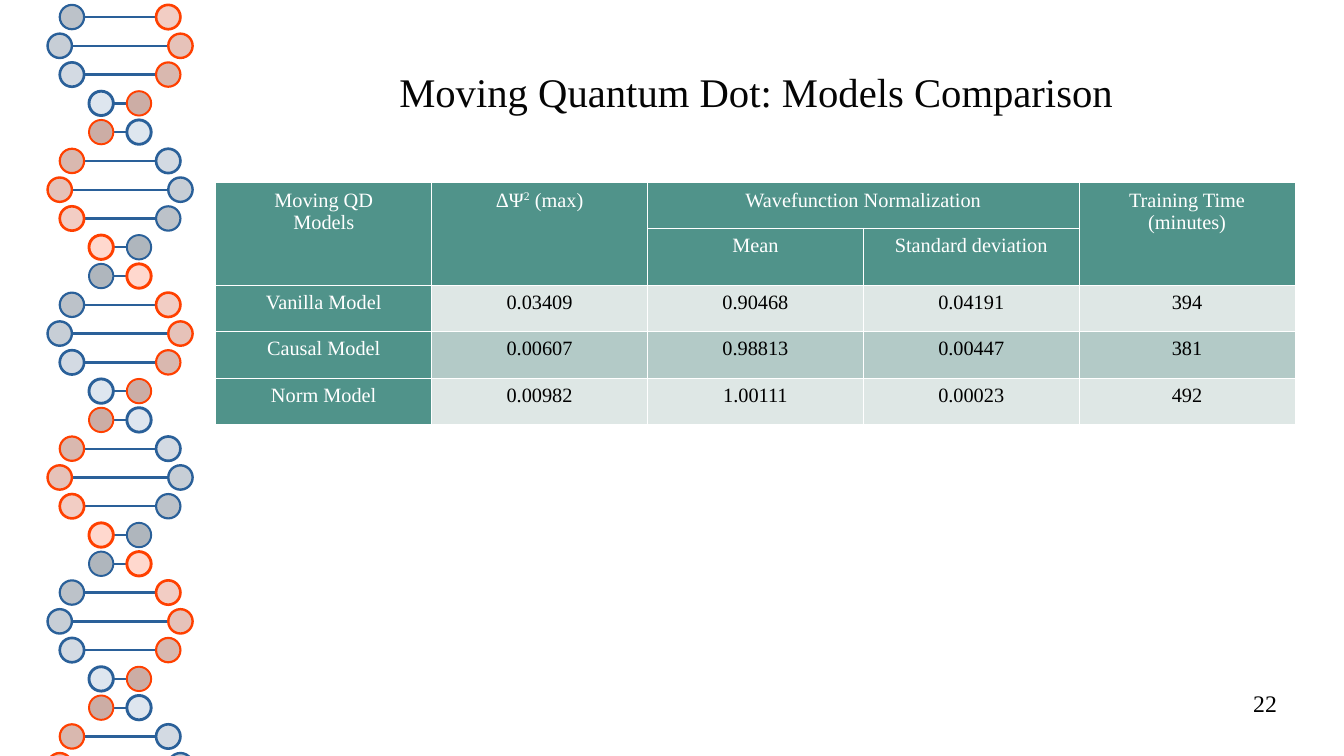
"""Builds the model comparison slide with its double-helix border."""
from dataclasses import dataclass

from lxml import etree
from pptx import Presentation
from pptx.dml.color import RGBColor
from pptx.enum.shapes import MSO_CONNECTOR, MSO_SHAPE
from pptx.enum.text import MSO_ANCHOR, MSO_AUTO_SIZE, PP_ALIGN
from pptx.oxml.ns import qn
from pptx.slide import Slide
from pptx.table import _Cell
from pptx.text.text import TextFrame, _Paragraph
from pptx.util import Inches, Pt

STRAIGHT = MSO_CONNECTOR.STRAIGHT
OVAL = MSO_SHAPE.OVAL
CENTER, RIGHT = PP_ALIGN.CENTER, PP_ALIGN.RIGHT
MIDDLE = MSO_ANCHOR.MIDDLE
NO_AUTOFIT = MSO_AUTO_SIZE.NONE

FONT = "Times New Roman"
BLUE, ORANGE, WHITE, BLACK = "2A6099", "FF4000", "FFFFFF", "000000"
BLUE_FILLS = ["AFB6BD", "BCC2C9", "C7CED6", "D3DAE3", "DEE6EF"]
ORANGE_FILLS = ["CCADA5", "D9B8AF", "E6C2B9", "F2CDC4", "FFD8CE"]
DEPTH_WIDTHS = [1.13, 1.28, 1.42, 1.56, 1.7]
HEADER_FILL = "50938A"
BAND_FILLS = ["DEE7E5", "B3CAC7"]

BALL_SIZE = 0.2
HELIX_TOP, HELIX_PITCH, HELIX_ROWS = 0.04, 2.36 / 10, 27
MIRROR_SUM = 1.77
SLIDE_WIDTH, SLIDE_HEIGHT = 11.02, 6.2

TABLE_LEFT, TABLE_TOP, COLUMN_WIDTH = 1.77, 1.5, 1.77
ROW_HEIGHTS = [0.37, 0.47, 0.38, 0.38, 0.38]
TABLE_TEXT = [
    ["Moving QD\nModels", "ΔΨ^2^ (max)", "Wavefunction Normalization", "", "Training Time\n(minutes)"],
    ["", "", "Mean", "Standard deviation", ""],
    ["Vanilla Model", "0.03409", "0.90468", "0.04191", "394"],
    ["Causal Model", "0.00607", "0.98813", "0.00447", "381"],
    ["Norm Model", "0.00982", "1.00111", "0.00023", "492"],
]
MERGES = [((0, 0), (1, 0)), ((0, 1), (1, 1)), ((0, 2), (0, 3)), ((0, 4), (1, 4))]


@dataclass(frozen=True)
class Rung:
    """Left edge of the blue ball and its depth; the orange ball mirrors both."""
    blue_left: float
    depth: int


HELIX_TURN = [
    Rung(0.49, 1), Rung(0.39, 2), Rung(0.49, 3), Rung(0.73, 4), Rung(1.04, 4),
    Rung(1.28, 3), Rung(1.38, 2), Rung(1.28, 1), Rung(1.04, 0), Rung(0.73, 0),
]


def rgb(color: str) -> RGBColor:
    """Turn a hex string into a colour."""
    return RGBColor.from_string(color)


def format_paragraph(paragraph: _Paragraph, size: float, color: str, align: PP_ALIGN) -> None:
    """Set the font and alignment of a paragraph."""
    paragraph.alignment = align
    paragraph.font.name = FONT
    paragraph.font.size = Pt(size)
    paragraph.font.bold = False
    paragraph.font.color.rgb = rgb(color)


def clear_margins(frame: TextFrame) -> None:
    """Remove the inner margins of a text frame."""
    frame.margin_left = frame.margin_right = frame.margin_top = frame.margin_bottom = 0


def draw_ball(slide: Slide, left: float, top: float, fill: str, line: str, width: float) -> None:
    """Draw one ball of the helix."""
    ball = slide.shapes.add_shape(OVAL, Inches(left), Inches(top), Inches(BALL_SIZE), Inches(BALL_SIZE))
    ball.shadow.inherit = False
    ball.fill.solid()
    ball.fill.fore_color.rgb = rgb(fill)
    ball.line.color.rgb = rgb(line)
    ball.line.width = Pt(width)


def draw_rung(slide: Slide, rung: Rung, top: float) -> None:
    """Draw a bond with its blue and orange balls."""
    orange_left = MIRROR_SUM - rung.blue_left
    middle = top + BALL_SIZE / 2
    if middle < SLIDE_HEIGHT:
        start = min(rung.blue_left, orange_left) + BALL_SIZE
        end = max(rung.blue_left, orange_left)
        bond = slide.shapes.add_connector(STRAIGHT, Inches(start), Inches(middle), Inches(end), Inches(middle))
        bond.line.color.rgb = rgb(BLUE)
        bond.line.width = Pt(1.42)
        etree.SubElement(bond._element.spPr, qn("a:effectLst"))
    orange_depth = len(DEPTH_WIDTHS) - 1 - rung.depth
    draw_ball(slide, rung.blue_left, top, BLUE_FILLS[rung.depth], BLUE, DEPTH_WIDTHS[rung.depth])
    draw_ball(slide, orange_left, top, ORANGE_FILLS[orange_depth], ORANGE, DEPTH_WIDTHS[orange_depth])


def draw_borders(cell: _Cell) -> None:
    """Give a cell thin white borders."""
    properties = cell._tc.get_or_add_tcPr()
    for side in ("a:lnL", "a:lnR", "a:lnT", "a:lnB"):
        border = etree.SubElement(properties, qn(side), w=str(Pt(0.57)))
        fill = etree.SubElement(border, qn("a:solidFill"))
        etree.SubElement(fill, qn("a:srgbClr"), val=WHITE)


def fill_cell(cell: _Cell, text: str, fill: str, color: str) -> None:
    """Write and format one cell; carets enclose superscripts."""
    draw_borders(cell)
    cell.fill.solid()
    cell.fill.fore_color.rgb = rgb(fill)
    cell.margin_left = cell.margin_right = Inches(0.04)
    cell.margin_top = cell.margin_bottom = Inches(0.05)
    for index, line in enumerate(text.split("\n")):
        paragraph = cell.text_frame.paragraphs[0] if index == 0 else cell.text_frame.add_paragraph()
        format_paragraph(paragraph, 12, color, CENTER)
        for part, content in enumerate(line.split("^")):
            if content:
                run = paragraph.add_run()
                run.text = content
                if part % 2:
                    run._r.get_or_add_rPr().set("baseline", "33000")


def draw_table(slide: Slide) -> None:
    """Draw the comparison table."""
    columns = len(TABLE_TEXT[0])
    table = slide.shapes.add_table(
        len(TABLE_TEXT), columns, Inches(TABLE_LEFT), Inches(TABLE_TOP),
        Inches(COLUMN_WIDTH * columns), Inches(sum(ROW_HEIGHTS))).table
    table.first_row = table.horz_banding = False
    for row, height in zip(table.rows, ROW_HEIGHTS):
        row.height = Inches(height)
    for row_index, texts in enumerate(TABLE_TEXT):
        for column_index, text in enumerate(texts):
            is_header = row_index < 2 or column_index == 0
            fill = HEADER_FILL if is_header else BAND_FILLS[row_index % 2]
            fill_cell(table.cell(row_index, column_index), text, fill, WHITE if is_header else BLACK)
    for first, last in MERGES:
        table.cell(*first).merge(table.cell(*last))


def draw_title(slide: Slide) -> None:
    """Place the slide title."""
    title = slide.shapes.title
    title.left, title.top = Inches(1.77), Inches(0.24)
    title.width, title.height = Inches(8.86), Inches(1.02)
    frame = title.text_frame
    frame.text = "Moving Quantum Dot: Models Comparison"
    frame.auto_size = NO_AUTOFIT
    frame.vertical_anchor = MIDDLE
    clear_margins(frame)
    format_paragraph(frame.paragraphs[0], 24, "050505", CENTER)


def draw_page_number(slide: Slide) -> None:
    """Place the page number."""
    frame = slide.shapes.add_textbox(Inches(7.9), Inches(5.65), Inches(2.57), Inches(0.43)).text_frame
    frame.word_wrap = True
    clear_margins(frame)
    frame.text = "22"
    format_paragraph(frame.paragraphs[0], 14, BLACK, RIGHT)


def main() -> None:
    """Build and save the presentation."""
    presentation = Presentation()
    presentation.slide_width = Inches(SLIDE_WIDTH)
    presentation.slide_height = Inches(SLIDE_HEIGHT)
    slide = presentation.slides.add_slide(presentation.slide_layouts[5])
    for row in range(HELIX_ROWS):
        draw_rung(slide, HELIX_TURN[row % len(HELIX_TURN)], HELIX_TOP + row * HELIX_PITCH)
    draw_table(slide)
    draw_title(slide)
    draw_page_number(slide)
    presentation.save("out.pptx")


if __name__ == "__main__":
    main()
